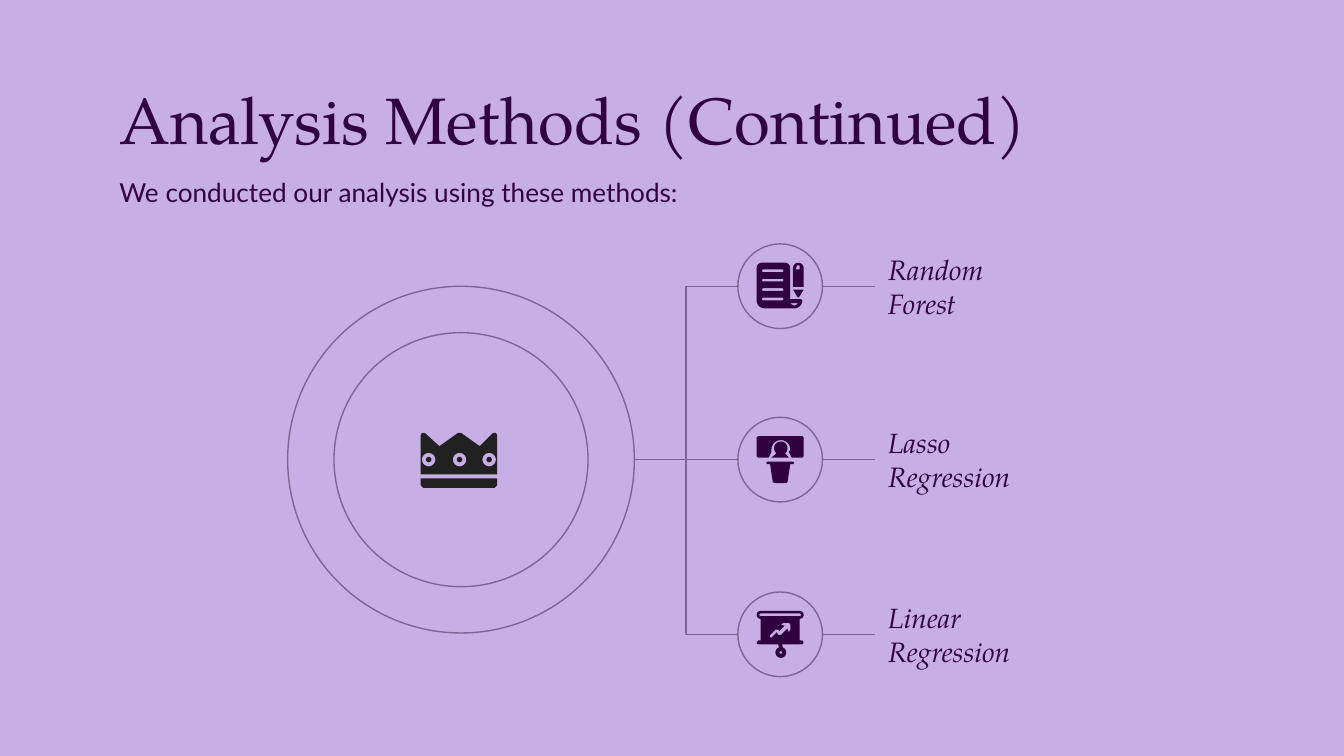
import math

import pptx
import pptx.dml.color
import pptx.enum.shapes
import pptx.enum.text
import pptx.oxml
import pptx.util

Inches = pptx.util.Inches
RGBColor = pptx.dml.color.RGBColor
ANCHOR = pptx.enum.text.MSO_ANCHOR
CONNECTOR = pptx.enum.shapes.MSO_CONNECTOR

LILAC = RGBColor(0xC7, 0xAE, 0xE4)
PLUM = RGBColor(0x31, 0x00, 0x41)
MAUVE = RGBColor(0x7E, 0x63, 0x95)
CHARCOAL = RGBColor(0x21, 0x21, 0x21)
SERIF, SANS = "TeX Gyre Pagella", "Lato"


# Outlines used by the icons, as lists of points in inches
def arc(cx, cy, radius, start, end, steps=12):
    angles = [math.radians(start + (end - start) * i / steps) for i in range(steps + 1)]
    return [(cx + radius * math.cos(a), cy + radius * math.sin(a)) for a in angles]


def rounded(x, y, w, h, r):
    corners = [(x + w - r, y + h - r, 0), (x + r, y + h - r, 90),
               (x + r, y + r, 180), (x + w - r, y + r, 270)]
    return [point for cx, cy, start in corners
            for point in arc(cx, cy, r, start, start + 90, 6)]


def disc(cx, cy, r):
    return arc(cx, cy, r, 0, 360, 32)


# Content: an icon is a list of pieces, a piece an outline followed by its holes
TITLE = "Analysis Methods (Continued)"
INTRO = "We conducted our analysis using these methods:"

DOCUMENT_ICON = [
    [arc(0.18, 0.18, 0.04, 180, 270) + arc(0.35, 0.18, 0.04, 270, 360)
     + [(0.39, 0.41), (0.47, 0.41), (0.48, 0.42)]
     + arc(0.42, 0.42, 0.06, 0, 90) + arc(0.2, 0.42, 0.06, 90, 180),
     *[rounded(0.18, 0.19 + 0.07 * row, 0.16, 0.02, 0.01) for row in range(4)],
     [(0.39, 0.44), (0.45, 0.44), (0.44, 0.45), (0.42, 0.46), (0.4, 0.45)]],
    [[(0.41, 0.34), (0.49, 0.34), (0.46, 0.39), (0.45, 0.4), (0.44, 0.39)]],
    [arc(0.45, 0.18, 0.04, 180, 360) + [(0.49, 0.32), (0.41, 0.32)],
     [(0.43, 0.19), (0.44, 0.16), (0.46, 0.16), (0.46, 0.19)]],
]
SPEAKER_ICON = [
    [[(0.22, 0.33), (0.41, 0.33), (0.42, 0.34), (0.41, 0.35), (0.39, 0.35),
      (0.37, 0.48), (0.36, 0.49), (0.27, 0.49), (0.26, 0.48), (0.24, 0.35),
      (0.22, 0.35), (0.21, 0.34)]],
    [[(0.15, 0.14), (0.48, 0.14), (0.49, 0.15), (0.49, 0.29), (0.48, 0.3),
      (0.4, 0.3), (0.38, 0.26)] + arc(0.32, 0.24, 0.07, 0, -180)
     + [(0.25, 0.26), (0.23, 0.3), (0.15, 0.3), (0.14, 0.29), (0.14, 0.15)]],
    [arc(0.32, 0.23, 0.05, 130, 410, 24) + [(0.38, 0.3), (0.25, 0.3)]],
]
CHART_BOARD_ICON = [
    [arc(0.17, 0.17, 0.03, 90, 270) + arc(0.46, 0.17, 0.03, -90, 90)
     + [(0.46, 0.36), (0.48, 0.36), (0.49, 0.38), (0.48, 0.39), (0.33, 0.39)]
     + arc(0.32, 0.45, 0.04, -70, 250, 24)
     + [(0.3, 0.39), (0.15, 0.39), (0.14, 0.38), (0.15, 0.36), (0.17, 0.36)],
     rounded(0.16, 0.16, 0.31, 0.02, 0.01),
     disc(0.32, 0.45, 0.01),
     [(0.34, 0.23), (0.38, 0.23), (0.39, 0.24), (0.39, 0.28), (0.38, 0.3),
      (0.37, 0.28), (0.37, 0.27), (0.32, 0.32), (0.3, 0.32), (0.29, 0.3),
      (0.25, 0.34), (0.24, 0.34), (0.24, 0.32), (0.28, 0.28), (0.3, 0.28),
      (0.31, 0.29), (0.35, 0.25), (0.34, 0.25), (0.32, 0.24)]],
]
# Label, icon, height of the branch
METHODS = [("Random Forest", DOCUMENT_ICON, 2.13),
           ("Lasso Regression", SPEAKER_ICON, 3.42),
           ("Linear Regression", CHART_BOARD_ICON, 4.72)]

# Crown, measured from its own top left corner
JEWEL_X, JEWEL_Y = (0.06, 0.29, 0.51), 0.2
CROWN_ICON = [
    [[(0, 0.02), (0.01, 0), (0.03, 0), (0.14, 0.1), (0.28, 0), (0.3, 0),
      (0.44, 0.1), (0.54, 0), (0.56, 0), (0.57, 0.02), (0.57, 0.31), (0, 0.31)],
     *[disc(x, JEWEL_Y, 0.05) for x in JEWEL_X]],
    [[(0, 0.34), (0.57, 0.34), (0.57, 0.39), (0.55, 0.41), (0.02, 0.41), (0, 0.39)]],
    *[[disc(x, JEWEL_Y, 0.02)] for x in JEWEL_X],
]

# Layout
HUB_X, HUB_Y = 3.43, 3.42
HUB_DIAMETERS = (2.58, 1.89)
HUB_RIGHT = 4.72
NODE_X, NODE_SIZE = 5.49, 0.63
LABEL_X, LABEL_WIDTH = 6.51, 1.35

deck = pptx.Presentation()
deck.slide_width = Inches(10)
deck.slide_height = Inches(10 * 9 / 16)
slide = deck.slides.add_slide(deck.slide_layouts[6])
slide.background.fill.solid()
slide.background.fill.fore_color.rgb = LILAC


def add_text(text, x, y, w, h, size, font, anchor=ANCHOR.TOP, italic=False):
    frame = slide.shapes.add_textbox(Inches(x), Inches(y), Inches(w), Inches(h)).text_frame
    frame.word_wrap = True
    frame.vertical_anchor = anchor
    frame.margin_left = frame.margin_right = Inches(0.1)
    frame.margin_top = frame.margin_bottom = Inches(0.1)
    frame.text = text
    run_font = frame.paragraphs[0].runs[0].font
    run_font.name, run_font.size, run_font.italic = font, pptx.util.Pt(size), italic
    run_font.color.rgb = PLUM


def style_line(shape):
    shape.line.color.rgb = MAUVE
    shape.line.width = pptx.util.Pt(0.75)


def add_ring(x, y, size):
    ring = slide.shapes.add_shape(pptx.enum.shapes.MSO_SHAPE.OVAL,
                                  Inches(x), Inches(y), Inches(size), Inches(size))
    ring.shadow.inherit = False
    ring.fill.background()
    style_line(ring)


def add_link(kind, x1, y1, x2, y2):
    link = slide.shapes.add_connector(kind, Inches(x1), Inches(y1), Inches(x2), Inches(y2))
    style_line(link)
    link._element.spPr.append(pptx.oxml.parse_xml(
        '<a:effectLst xmlns:a="http://schemas.openxmlformats.org/drawingml/2006/main"/>'))


def add_icon(icon, left, top, color):
    for piece in icon:
        outlines = [[(Inches(left + x), Inches(top + y)) for x, y in outline]
                    for outline in piece]
        builder = slide.shapes.build_freeform(*outlines[0][0])
        builder.add_line_segments(outlines[0][1:], close=True)
        for hole in outlines[1:]:
            builder.move_to(*hole[0])
            builder.add_line_segments(hole[1:], close=True)
        shape = builder.convert_to_shape()
        shape.shadow.inherit = False
        shape.fill.solid()
        shape.fill.fore_color.rgb = color
        shape.line.fill.background()


# Heading
add_text(TITLE, 0.79, 0.49, 8.43, 0.63, 35, SERIF)
add_text(INTRO, 0.79, 1.21, 8.43, 0.46, 14, SANS)

# Hub with crown
for diameter in HUB_DIAMETERS:
    add_ring(HUB_X - diameter / 2, HUB_Y - diameter / 2, diameter)
add_icon(CROWN_ICON, 3.13, 3.22, CHARCOAL)

# One branch per method
for method, icon, center_y in METHODS:
    top = center_y - NODE_SIZE / 2
    add_link(CONNECTOR.ELBOW, NODE_X, center_y, HUB_RIGHT, HUB_Y)
    add_ring(NODE_X, top, NODE_SIZE)
    add_icon(icon, NODE_X, top, PLUM)
    add_link(CONNECTOR.STRAIGHT, NODE_X + NODE_SIZE, center_y, LABEL_X, center_y)
    add_text(method, LABEL_X, top, LABEL_WIDTH, NODE_SIZE, 15, SERIF, ANCHOR.MIDDLE, True)

deck.save("out.pptx")
